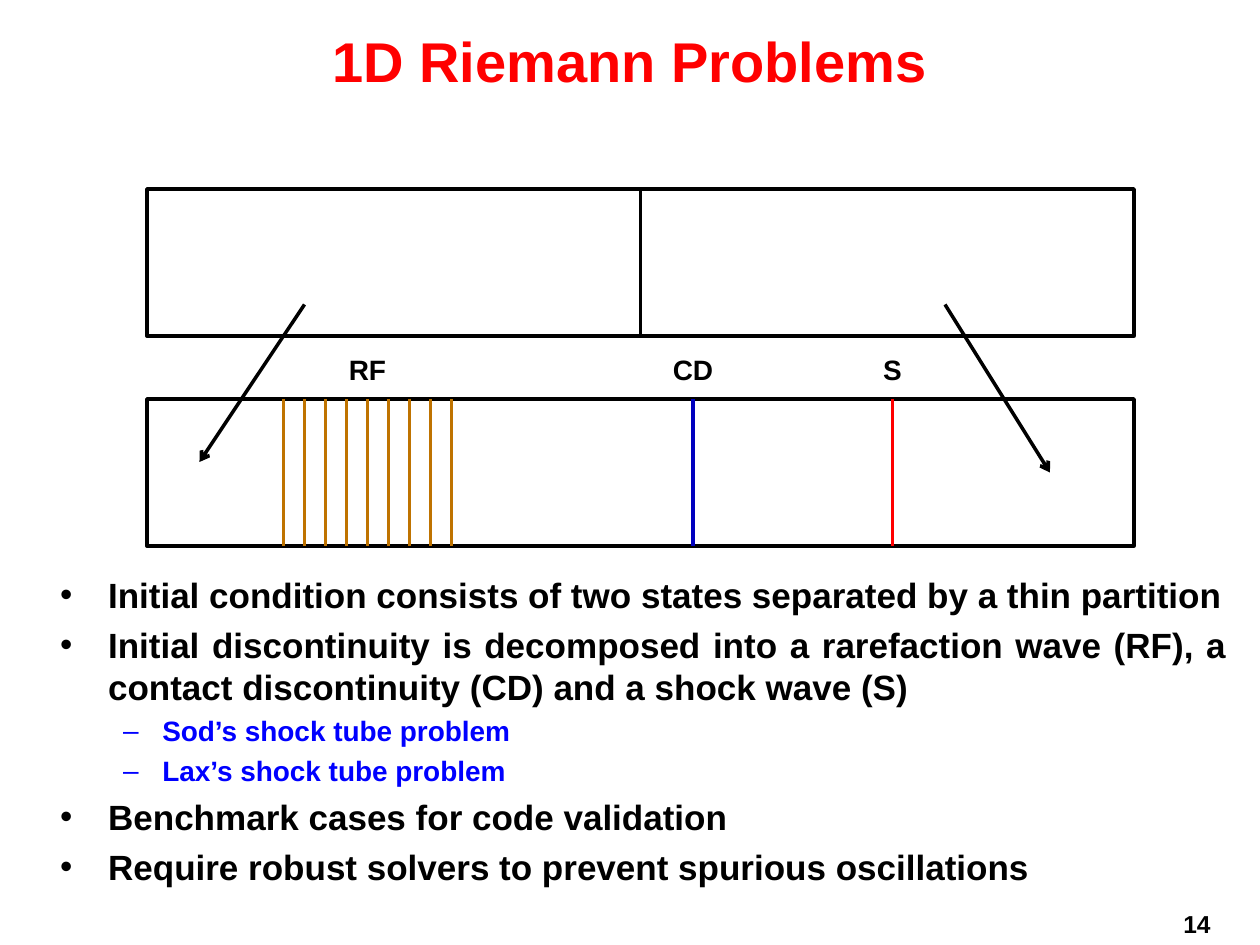
from dataclasses import dataclass

from lxml.etree import SubElement
from pptx import Presentation
from pptx.dml.color import RGBColor
from pptx.enum.shapes import MSO_CONNECTOR, MSO_SHAPE
from pptx.enum.text import MSO_ANCHOR, PP_ALIGN
from pptx.oxml.ns import qn
from pptx.util import Inches, Pt


@dataclass(frozen=True)
class Theme:
    font: str = "Arial"
    black: str = "000000"
    red: str = "FF0000"
    blue: str = "0000FF"
    navy: str = "0000BF"
    amber: str = "BF7300"
    title_size: int = 32
    body_size: int = 20
    label_size: int = 16
    number_size: int = 14
    wave_width: float = 2.25
    frame_width: float = 2


theme = Theme()
COLUMNS_PER_INCH = 12
TITLE = "1D Riemann Problems"
PAGE_NUMBER = "14"
POINTS = [
    (0, "Initial condition consists of two states separated by a thin partition"),
    (0, "Initial discontinuity is decomposed into a rarefaction wave (RF), "
        "a contact discontinuity (CD) and a shock wave (S)"),
    (1, "Sod’s shock tube problem"),
    (1, "Lax’s shock tube problem"),
    (0, "Benchmark cases for code validation"),
    (0, "Require robust solvers to prevent spurious oscillations"),
]
LEVELS = [
    dict(bullet="•", indent=0.38, hang=0.38, size=theme.body_size, color=theme.black, gap=4.6),
    dict(bullet="–", indent=0.81, hang=0.31, size=theme.label_size, color=theme.blue, gap=3.7),
]
TUBE_LEFT, TUBE_WIDTH, TUBE_HEIGHT = 14, 94, 14
INITIAL_TOP, LATER_TOP = 18, 38
PARTITION = TUBE_LEFT + TUBE_WIDTH / 2
WAVES = [(66, theme.navy), (85, theme.red)]
WAVES += [(column, theme.amber) for column in range(27, 44, 2)]
LABELS = [("RF", 35), ("CD", 66), ("S", 85)]
LABEL_TOP, LABEL_WIDTH, LABEL_HEIGHT = 33, 8, 4.4
ARROWS = [((29, 29), (19, 44)), ((90, 29), (100, 45))]


def grid(*cells):
    return [Inches(cell / COLUMNS_PER_INCH) for cell in cells]


def style_font(font, size, color):
    font.name = theme.font
    font.size = Pt(size)
    font.bold = True
    font.color.rgb = RGBColor.from_string(color)


def add_text(page, text, place, size, color, anchor=MSO_ANCHOR.TOP):
    box = page.shapes.add_textbox(*place)
    frame = box.text_frame
    frame.word_wrap = True
    frame.vertical_anchor = anchor
    frame.text = text
    para = frame.paragraphs[0]
    para.alignment = PP_ALIGN.CENTER
    style_font(para.runs[0].font, size, color)


def add_line(page, start, end, color, width, arrow=False):
    line = page.shapes.add_connector(MSO_CONNECTOR.STRAIGHT, *grid(*start, *end))
    line.line.color.rgb = RGBColor.from_string(color)
    line.line.width = Pt(width)
    if arrow:
        SubElement(line.line._get_or_add_ln(), qn("a:tailEnd"), type="arrow")
    SubElement(line._element.spPr, qn("a:effectLst"))


def add_tube(page, top):
    tube = page.shapes.add_shape(
        MSO_SHAPE.RECTANGLE, *grid(TUBE_LEFT, top, TUBE_WIDTH, TUBE_HEIGHT))
    tube.shadow.inherit = False
    tube.fill.background()
    tube.line.color.rgb = RGBColor.from_string(theme.black)
    tube.line.width = Pt(theme.frame_width)


def add_wall(page, column, top, color):
    add_line(page, (column, top), (column, top + TUBE_HEIGHT), color, theme.wave_width)


def add_points(page):
    box = page.shapes.add_textbox(Inches(0.38), Inches(4.5), Inches(9.46), Inches(2.75))
    frame = box.text_frame
    frame.word_wrap = True
    for index, (level, text) in enumerate(POINTS):
        style = LEVELS[level]
        para = frame.add_paragraph() if index else frame.paragraphs[0]
        para.text = text
        para.level = level
        para.alignment = PP_ALIGN.JUSTIFY
        if index:
            para.space_before = Pt(style["gap"])
        properties = para._p.get_or_add_pPr()
        properties.set("marL", str(Inches(style["indent"])))
        properties.set("indent", str(-Inches(style["hang"])))
        SubElement(properties, qn("a:buFont"), typeface=theme.font)
        SubElement(properties, qn("a:buChar"), char=style["bullet"])
        style_font(para.runs[0].font, style["size"], style["color"])


def main():
    deck = Presentation()
    deck.slide_width, deck.slide_height = Inches(10), Inches(7.5)
    page = deck.slides.add_slide(deck.slide_layouts[6])

    add_text(page, PAGE_NUMBER, grid(109, 86, 10, 4), theme.number_size, theme.black)
    add_text(page, TITLE, grid(6, -1.8, 108, 15), theme.title_size, theme.red,
             MSO_ANCHOR.MIDDLE)
    add_wall(page, PARTITION, INITIAL_TOP, theme.black)
    add_points(page)
    for top in (INITIAL_TOP, LATER_TOP):
        add_tube(page, top)
    for column, color in WAVES:
        add_wall(page, column, LATER_TOP, color)
    for text, center in LABELS:
        place = grid(center - LABEL_WIDTH / 2, LABEL_TOP, LABEL_WIDTH, LABEL_HEIGHT)
        add_text(page, text, place, theme.label_size, theme.black)
    for start, end in ARROWS:
        add_line(page, start, end, theme.black, theme.frame_width, arrow=True)

    deck.save("out.pptx")


if __name__ == "__main__":
    main()
